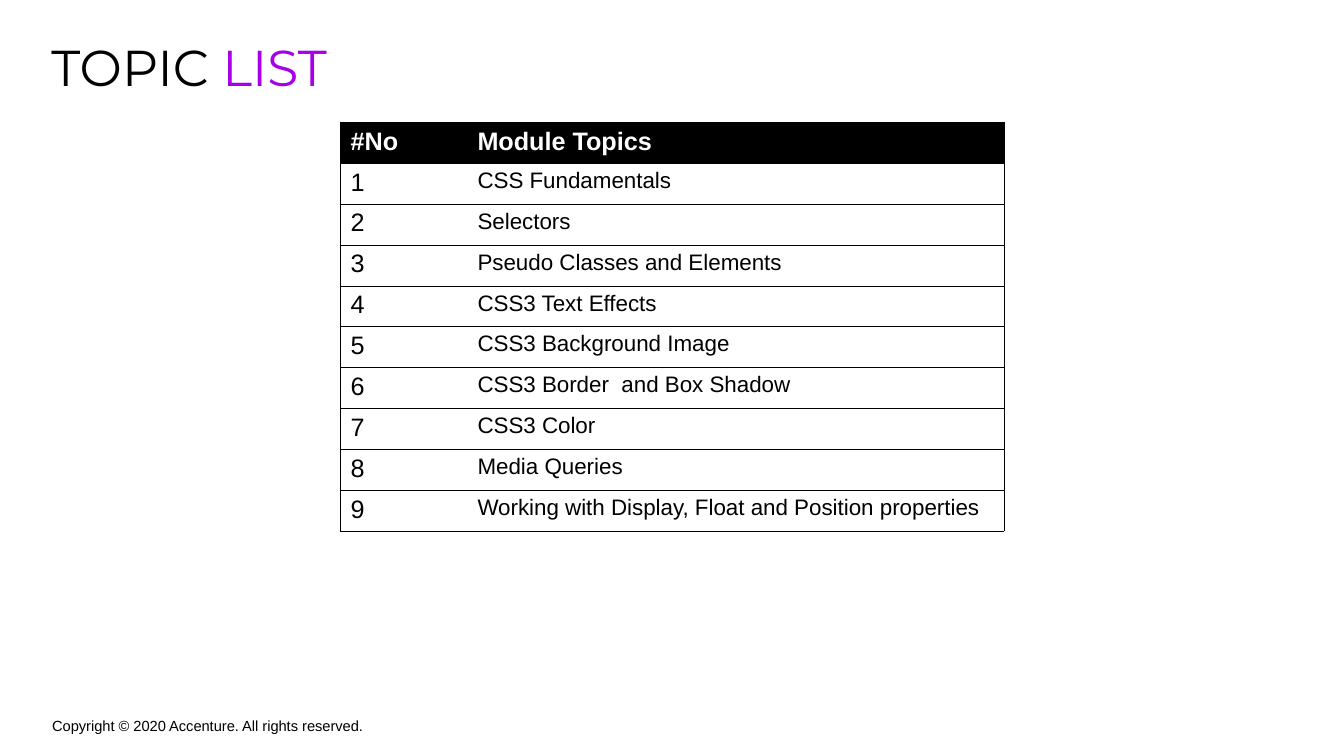
from dataclasses import dataclass

from lxml.etree import SubElement
from pptx import Presentation
from pptx.dml.color import RGBColor
from pptx.enum.text import MSO_ANCHOR
from pptx.oxml.ns import qn
from pptx.util import Pt


@dataclass(frozen=True)
class Theme:
    black: str = "000000"
    white: str = "FFFFFF"
    purple: str = "A700E6"
    title_font: str = "Montserrat"
    body_font: str = "Arial"
    title_size: float = 36
    heading_size: float = 18
    topic_size: float = 16
    footer_size: float = 10.5
    border_width: float = 0.5


THEME = Theme()

TOPICS = [
    "CSS Fundamentals",
    "Selectors",
    "Pseudo Classes and Elements",
    "CSS3 Text Effects",
    "CSS3 Background Image",
    "CSS3 Border  and Box Shadow",
    "CSS3 Color",
    "Media Queries",
    "Working with Display, Float and Position properties",
]


def add_run(paragraph, text, *, size, color=THEME.black, font=THEME.body_font, bold=False):
    run = paragraph.add_run()
    run.text = text
    run.font.name = font
    run.font.size = Pt(size)
    run.font.bold = bold
    run.font.color.rgb = RGBColor.from_string(color)


def add_text_box(slide, left, top, width, height, *, insets, anchor=MSO_ANCHOR.TOP):
    """Add an unwrapped text box and return its first paragraph."""
    shape = slide.shapes.add_textbox(Pt(left), Pt(top), Pt(width), Pt(height))
    frame = shape.text_frame
    frame.word_wrap = False
    frame.vertical_anchor = anchor
    frame.margin_left, frame.margin_top, frame.margin_right, frame.margin_bottom = map(Pt, insets)
    return frame.paragraphs[0]


def set_borders(cell, visible_edges):
    """Draw the named edges (L, R, T, B) and hide the others."""
    properties = cell._tc.get_or_add_tcPr()
    for edge in "LRTB":
        line = SubElement(properties, qn(f"a:ln{edge}"), w=str(Pt(THEME.border_width)))
        if edge in visible_edges:
            fill = SubElement(line, qn("a:solidFill"))
            SubElement(fill, qn("a:srgbClr"), val=THEME.black)
        else:
            SubElement(line, qn("a:noFill"))


def fill_cell(cell, text, *, edges, side_margin, size, header):
    set_borders(cell, edges)
    if header:
        cell.fill.solid()
        cell.fill.fore_color.rgb = RGBColor.from_string(THEME.black)
    else:
        cell.fill.background()
    cell.margin_left = cell.margin_right = Pt(side_margin)
    cell.margin_top = cell.margin_bottom = Pt(3.6)
    add_run(cell.text_frame.paragraphs[0], text, size=size, bold=header,
            color=THEME.white if header else THEME.black)


def add_topic_table(slide, left, top, column_widths, row_height):
    rows = [("#No", "Module Topics")]
    rows += [(str(number), topic) for number, topic in enumerate(TOPICS, start=1)]
    frame = slide.shapes.add_table(len(rows), len(column_widths), Pt(left), Pt(top),
                                   Pt(sum(column_widths)), Pt(row_height * len(rows)))
    table = frame.table
    table.horz_banding = False
    for column, width in zip(table.columns, column_widths):
        column.width = Pt(width)
    for index, (number, topic) in enumerate(rows):
        table.rows[index].height = Pt(row_height)
        header = index == 0
        fill_cell(table.cell(index, 0), number, edges="LTB", side_margin=7.2,
                  size=THEME.heading_size, header=header)
        fill_cell(table.cell(index, 1), topic, edges="RTB", side_margin=7.9,
                  size=THEME.heading_size if header else THEME.topic_size, header=header)


def main():
    presentation = Presentation()
    presentation.slide_width, presentation.slide_height = Pt(960), Pt(540)
    slide = presentation.slides.add_slide(presentation.slide_layouts[6])

    # Title in two colours
    title = add_text_box(slide, 30.2, 35.3, 233.3, 36, insets=(6.5, 0, 0, 3.6),
                         anchor=MSO_ANCHOR.BOTTOM)
    title.line_spacing = 0.7
    for text, color in (("TOPIC ", THEME.black), ("LIST", THEME.purple)):
        add_run(title, text, size=THEME.title_size, color=color, font=THEME.title_font)

    # Copyright line
    footer = add_text_box(slide, 30.2, 508.3, 242, 19.4, insets=(7.2, 3.6, 7.2, 3.6))
    add_run(footer, "Copyright © 2020 Accenture. All rights reserved.", size=THEME.footer_size)

    # Module topics
    add_topic_table(slide, left=243.2, top=87.4, column_widths=(90, 384), row_height=29.2)

    presentation.save("out.pptx")


if __name__ == "__main__":
    main()
